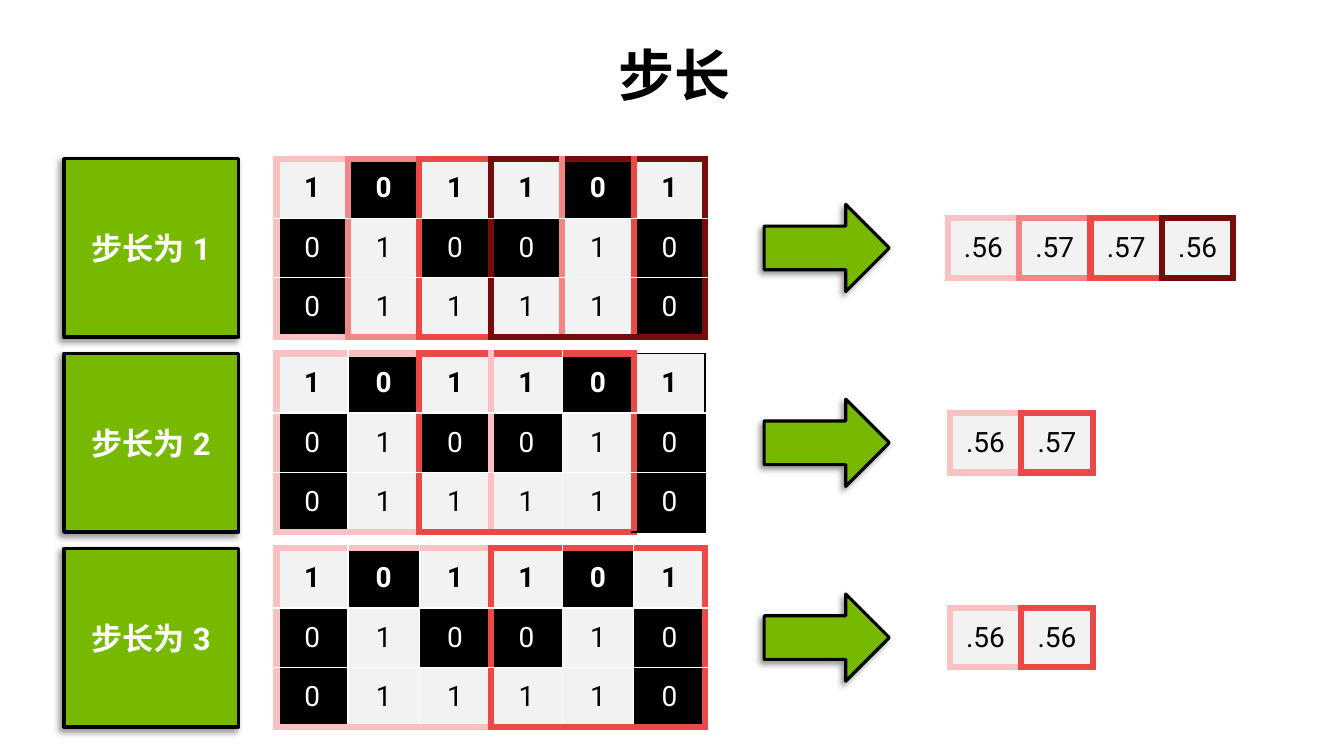
"""Build a slide that compares convolution strides of 1, 2 and 3."""
from lxml.etree import SubElement
from pptx import Presentation
from pptx.dml.color import RGBColor
from pptx.enum.shapes import MSO_SHAPE
from pptx.enum.text import MSO_ANCHOR, PP_ALIGN
from pptx.oxml import parse_xml
from pptx.oxml.ns import nsdecls, qn
from pptx.util import Cm, Pt

BLACK = RGBColor(0x00, 0x00, 0x00)
WHITE = RGBColor(0xFF, 0xFF, 0xFF)
GRAY = RGBColor(0xF2, 0xF2, 0xF2)
GREEN = RGBColor(0x76, 0xB9, 0x00)
PINK = RGBColor(0xF9, 0xC1, 0xC1)
SALMON = RGBColor(0xF1, 0x86, 0x86)
RED = RGBColor(0xEB, 0x48, 0x48)
MAROON = RGBColor(0x76, 0x0D, 0x0D)

TITLE = "步长"
INPUT = ["101101", "010010", "011110"]
STRIDES = [
    {"label": "步长为 1", "stride": 1, "colors": [PINK, SALMON, RED, MAROON],
     "results": [".56", ".57", ".57", ".56"], "result_left": 21.49},
    {"label": "步长为 2", "stride": 2, "colors": [PINK, RED],
     "results": [".56", ".57"], "result_left": 21.54},
    {"label": "步长为 3", "stride": 3, "colors": [PINK, RED],
     "results": [".56", ".56"], "result_left": 21.54},
]

KERNEL = 3
CELL_W, CELL_H = 1.62, 1.35
FIRST_TOP, STEP = 3.6, 4.42
LABEL_LEFT, LABEL_W = 1.45, 3.96
INPUT_LEFT = 6.27
ARROW_LEFT, ARROW_W, ARROW_H = 17.33, 2.84, 1.98

TITLE_FONT = {"name": "Roboto", "size": Pt(36), "bold": True}
LABEL_FONT = {"name": "Roboto", "size": Pt(20), "bold": True}
HEAD_FONT = {"name": "Roboto", "size": Pt(18), "bold": True}
BODY_FONT = {"name": "Roboto", "size": Pt(18), "bold": False}

THIN, THICK = Pt(1), Pt(4.5)
SHADOW = (
    f'<a:effectLst {nsdecls("a")}><a:outerShdw blurRad="50800" dist="38100" '
    'dir="8100000" algn="tr" rotWithShape="0"><a:srgbClr val="000000">'
    '<a:alpha val="40000"/></a:srgbClr></a:outerShdw></a:effectLst>'
)


def write(frame, text, font_format, color):
    paragraph = frame.paragraphs[0]
    paragraph.alignment = PP_ALIGN.CENTER
    run = paragraph.add_run()
    run.text = text
    for name, value in font_format.items():
        setattr(run.font, name, value)
    run.font.color.rgb = color
    SubElement(run.font._element, qn("a:ea"), typeface=font_format["name"])
    return paragraph


def add_green_shape(slide, preset, left, top, width, height, line_width):
    shape = slide.shapes.add_shape(preset, Cm(left), Cm(top), Cm(width), Cm(height))
    shape.fill.solid()
    shape.fill.fore_color.rgb = GREEN
    shape.line.color.rgb = BLACK
    shape.line.width = line_width
    shape._element.spPr.append(parse_xml(SHADOW))
    return shape


def window_edges(columns, size, stride, colors):
    """Return the upright and level borders, later windows over earlier ones."""
    upright = [(WHITE, THIN)] * columns + [(BLACK, THIN)]
    level = [(BLACK, THIN)] * columns
    for index, color in enumerate(colors):
        start, end = index * stride, index * stride + size
        level[start:end] = [(color, THICK)] * size
        upright[end] = (color, THICK)
    for index, color in enumerate(colors):
        upright[index * stride] = (color, THICK)
    return upright, level


def add_border(cell, side, color, width):
    line = SubElement(cell._tc.get_or_add_tcPr(), qn(f"a:ln{side}"), w=str(width))
    fill = SubElement(line, qn("a:solidFill"))
    SubElement(fill, qn("a:srgbClr"), val=str(color))


def add_grid(slide, left, top, rows, size, stride, colors):
    columns = len(rows[0])
    table = slide.shapes.add_table(
        len(rows), columns, Cm(left), Cm(top),
        Cm(CELL_W * columns), Cm(CELL_H * len(rows))).table
    table.first_row = table.horz_banding = False
    for column in table.columns:
        column.width = Cm(CELL_W)
    upright, level = window_edges(columns, size, stride, colors)
    inner = (WHITE, THIN)
    for r, values in enumerate(rows):
        table.rows[r].height = Cm(CELL_H)
        for c, value in enumerate(values):
            cell = table.cell(r, c)
            borders = {
                "L": upright[c],
                "R": upright[c + 1],
                "T": level[c] if r == 0 else inner,
                "B": level[c] if r == len(rows) - 1 else inner,
            }
            for side, border in borders.items():
                add_border(cell, side, *border)
            dark = value == "0"
            cell.fill.solid()
            cell.fill.fore_color.rgb = BLACK if dark else GRAY
            cell.vertical_anchor = MSO_ANCHOR.MIDDLE
            heading = r == 0 and len(rows) > 1
            write(cell.text_frame, value, HEAD_FONT if heading else BODY_FONT,
                  WHITE if dark else BLACK)


def add_stride(slide, top, label, stride, colors, results, result_left):
    height = CELL_H * len(INPUT)
    box = add_green_shape(slide, MSO_SHAPE.RECTANGLE, LABEL_LEFT, top,
                          LABEL_W, height, Pt(2.25))
    box.text_frame.word_wrap = True
    box.text_frame.vertical_anchor = MSO_ANCHOR.MIDDLE
    write(box.text_frame, label, LABEL_FONT, WHITE)
    add_grid(slide, INPUT_LEFT, top, INPUT, KERNEL, stride, colors)
    add_green_shape(slide, MSO_SHAPE.RIGHT_ARROW, ARROW_LEFT,
                    top + (height - ARROW_H) / 2, ARROW_W, ARROW_H, Pt(2))
    add_grid(slide, result_left, top + CELL_H, [results], 1, 1, colors)


def main():
    presentation = Presentation()
    presentation.slide_width, presentation.slide_height = Cm(30.48), Cm(17.15)
    slide = presentation.slides.add_slide(presentation.slide_layouts[6])
    title = slide.shapes.add_textbox(Cm(1.45), Cm(0.94), Cm(27.71), Cm(1.65)).text_frame
    title.word_wrap = True
    title.vertical_anchor = MSO_ANCHOR.BOTTOM
    write(title, TITLE, TITLE_FONT, BLACK).line_spacing = 0.9
    for index, stride in enumerate(STRIDES):
        add_stride(slide, FIRST_TOP + index * STEP, **stride)
    presentation.save("out.pptx")


if __name__ == "__main__":
    main()
